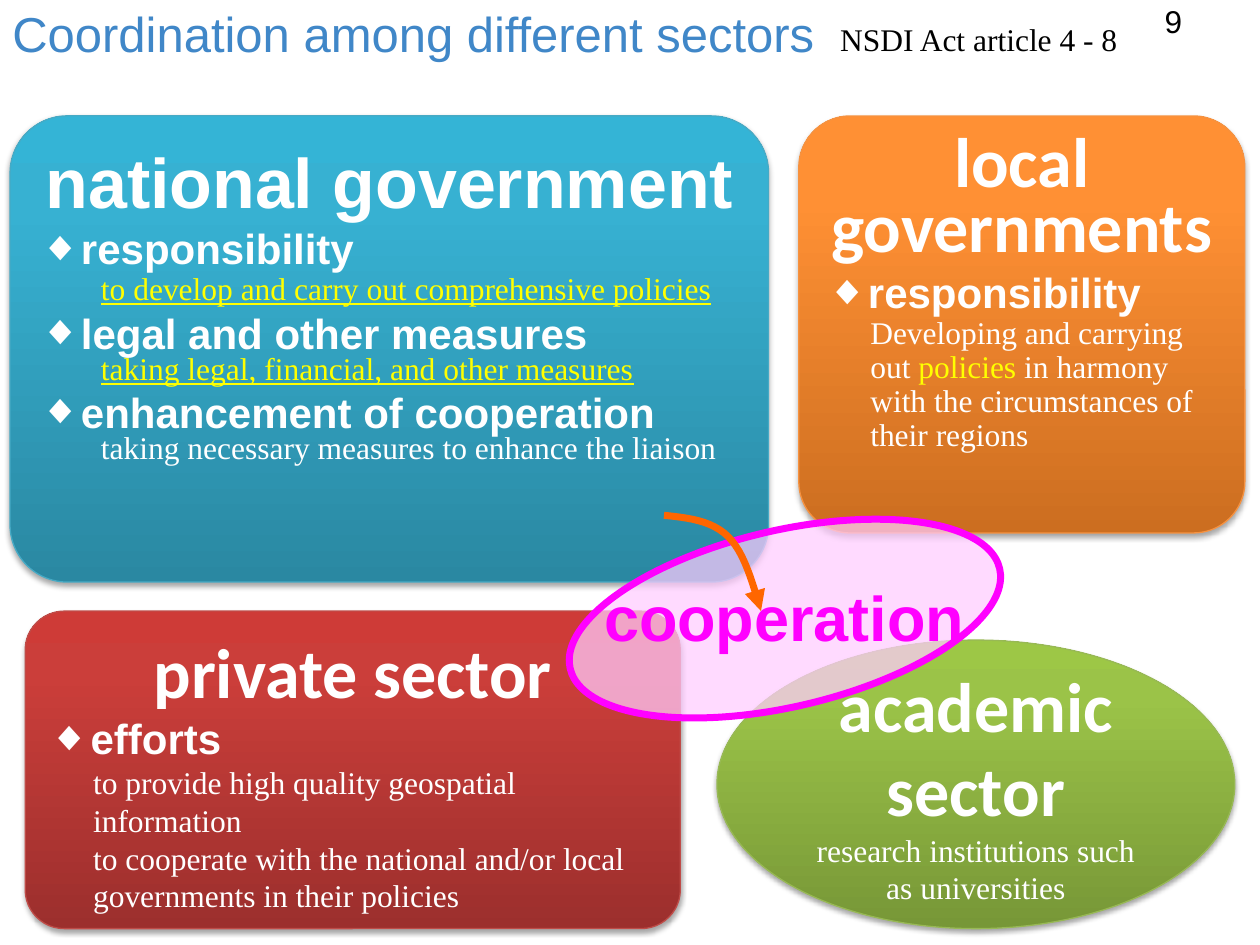
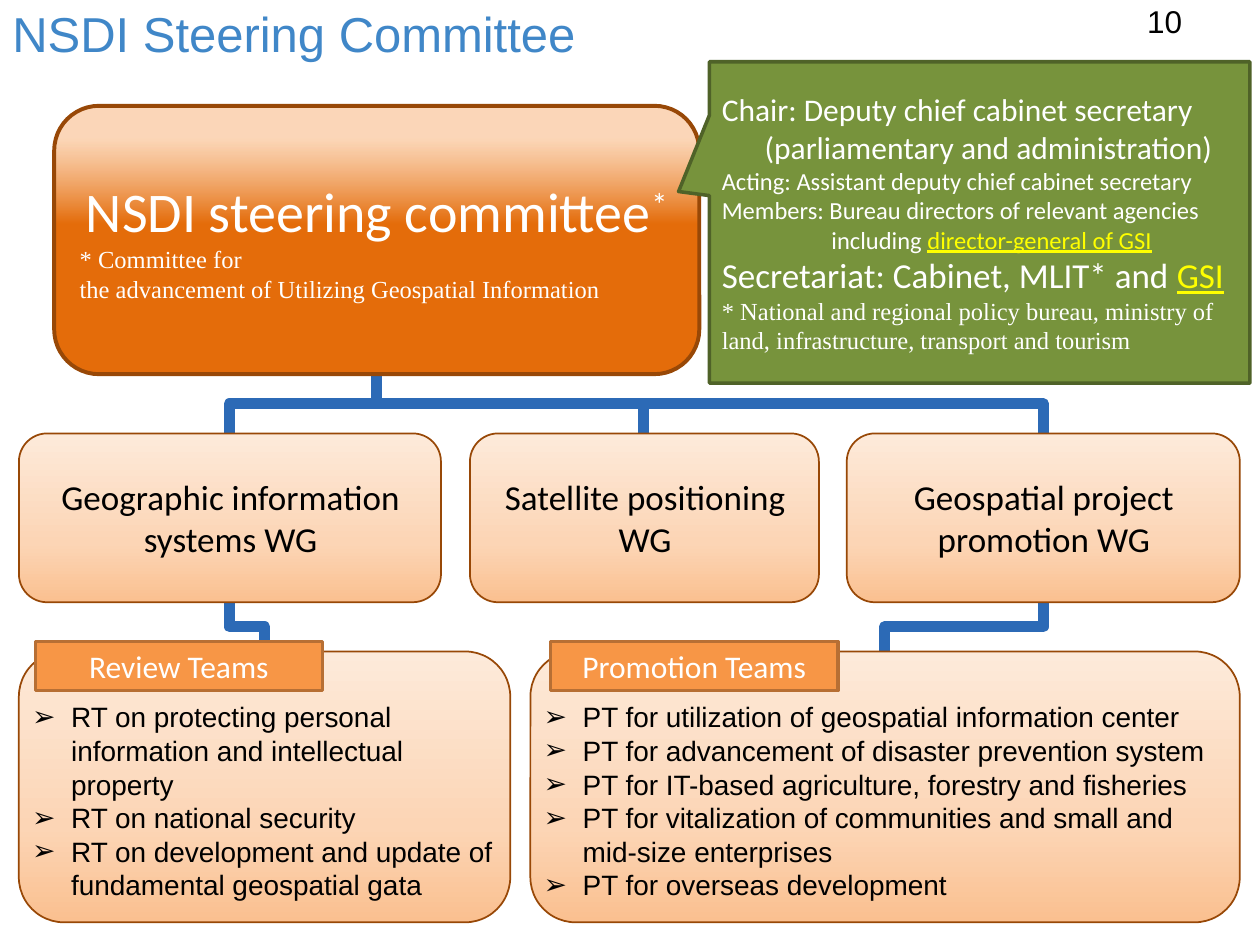
from dataclasses import dataclass, field, replace
from typing import Optional, Union

from lxml.etree import SubElement
from pptx import Presentation
from pptx.dml.color import RGBColor
from pptx.enum.shapes import MSO_CONNECTOR as Link, MSO_SHAPE as Preset
from pptx.enum.text import MSO_ANCHOR as Anchor, PP_ALIGN as Align
from pptx.oxml.ns import qn
from pptx.util import Emu, Pt

SCALE = 9144  # EMU per px, 100 px to the inch


def px(length: float) -> Emu:
    return Emu(round(length * SCALE))


# ---- Data types ----
@dataclass(frozen=True)
class Style:
    size: int
    name: str
    color: str
    bold: bool = False
    underline: bool = False
    raised: int = 0


@dataclass(frozen=True)
class Stop:
    position: int
    color: str
    alpha: int = 100


@dataclass(frozen=True)
class Area:
    left: int
    top: int
    width: int
    height: int

    @property
    def center(self) -> int:
        return self.left + self.width // 2

    @property
    def bottom(self) -> int:
        return self.top + self.height


@dataclass(frozen=True)
class Span:
    text: str
    style: Style


@dataclass(frozen=True)
class Para:
    spans: tuple
    align: Align = Align.LEFT
    margin: int = 0
    first: int = 0
    bullet: str = ""
    spacing: Optional[Union[float, Pt]] = None


@dataclass(frozen=True)
class Look:
    preset: Preset
    fill: tuple
    line: str
    weight: float
    adjust: tuple = ()
    shadow: bool = False
    rotation: float = 0


@dataclass(frozen=True)
class Words:
    paras: tuple = ()
    anchor: Anchor = Anchor.TOP
    wrap: bool = True
    insets: tuple = (10, 5, 10, 5)


# ---- Theme ----
def ramp(*stops: tuple) -> tuple:
    return tuple(Stop(*stop) for stop in stops)


def sector(preset: Preset, dark: str, middle: str, light: str, line: str) -> Look:
    adjust = (0.123,) if preset == Preset.ROUNDED_RECTANGLE else ()
    return Look(preset, ramp((0, dark), (80, middle), (100, light)), line, 0.75, adjust, True)


ROUND = Preset.ROUNDED_RECTANGLE


@dataclass(frozen=True)
class Theme:
    title: Style = Style(28, "Arial", "4087C8")
    number: Style = Style(18, "Arial", "000000")
    source: Style = Style(18, "Times New Roman", "000000")
    arial_head: Style = Style(40, "Arial", "FFFFFF", True)
    head: Style = Style(40, "Calibri", "FFFFFF", True)
    topic: Style = Style(24, "Arial", "FFFFFF", True)
    detail: Style = Style(18, "Times New Roman", "FFFFFF")
    accent: Style = Style(18, "Times New Roman", "FFFF00")
    link: Style = Style(18, "Times New Roman", "FFFF00", underline=True)
    shared: Style = Style(36, "Arial", "FF00FF", True)
    committee: Style = Style(32, "Calibri", "FFFFFF")
    group: Style = Style(20, "Calibri", "000000")
    label: Style = Style(18, "Calibri", "FFFFFF")
    small: Style = Style(14, "Calibri", "FFFFFF")
    large: Style = Style(20, "Calibri", "FFFFFF")
    note: Style = Style(14, "Times New Roman", "FFFFFF")
    team: Style = Style(16, "Arial", "000000")
    highlight: str = "FFFF00"
    arrow: str = "FF6600"
    tree: str = "2C6AB6"
    private: Look = sector(ROUND, "9C2F2D", "CB3E3A", "CE3B37", "BF4C48")
    national: Look = sector(ROUND, "2A88A2", "37B1D2", "34B4D6", "46AAC5")
    academic: Look = sector(Preset.OVAL, "779737", "9BC348", "9DC746", "98B955")
    local: Look = sector(ROUND, "CC6E20", "FF9034", "FF9136", "F69240")
    overlap: Look = Look(Preset.OVAL, ramp((0, "FFCCFF", 72)), "FF00FF", 4, rotation=-13.1)
    peach: Look = Look(ROUND, ramp((0, "FAC090"), (35, "FCD5B5"), (100, "FDEADA")),
                       "984807", 1, (0.167,))
    steering: Look = Look(ROUND, ramp((56, "E46C0A"), (88, "FAC090", 63)),
                          "984807", 2.25, (0.167,))
    callout: Look = Look(Preset.RECTANGULAR_CALLOUT, ramp((0, "77933C")),
                         "4F6228", 2, (-0.557, -0.096))
    tag: Look = Look(Preset.RECTANGLE, ramp((0, "F79646")), "B76F34", 2)


THEME = Theme()


# ---- Drawing ----
def apply(target, values: dict) -> None:
    for name, value in values.items():
        setattr(target, name, value)


def line(text: str, style: Style, **layout) -> Para:
    return Para((Span(text, style),), **layout)


def centered(text: str, style: Style, **layout) -> Para:
    return line(text, style, align=Align.CENTER, **layout)


def topic(text: str) -> Para:
    return line(text, THEME.topic, bullet="◆")


def write(box, words: Words) -> None:
    frame = box.text_frame
    sides = ("margin_left", "margin_top", "margin_right", "margin_bottom")
    apply(frame, {"word_wrap": words.wrap, "vertical_anchor": words.anchor}
          | dict(zip(sides, map(px, words.insets))))
    for index, item in enumerate(words.paras):
        para = frame.add_paragraph() if index else frame.paragraphs[0]
        props = para._p.get_or_add_pPr()
        props.set("marL", str(px(item.margin)))
        props.set("indent", str(px(item.first)))
        if item.bullet:
            SubElement(props, qn("a:buFont"), typeface="Arial")
            SubElement(props, qn("a:buChar"), char=item.bullet)
        apply(para, {"alignment": item.align, "line_spacing": item.spacing})
        for part in item.spans:
            style = part.style
            span = para.add_run()
            span.text = part.text
            apply(span.font, {"size": Pt(style.size), "name": style.name,
                              "bold": style.bold, "underline": style.underline})
            span.font.color.rgb = RGBColor.from_string(style.color)
            if style.raised:
                span.font._element.set("baseline", str(style.raised * 1000))


def add_alpha(color, percent: int) -> None:
    if percent < 100:
        SubElement(color, qn("a:alpha"), val=str(percent * 1000))


def paint(box, stops: tuple) -> None:
    properties = box._element.spPr
    if len(stops) == 1:
        box.fill.solid()
        box.fill.fore_color.rgb = RGBColor.from_string(stops[0].color)
        add_alpha(properties.find(qn("a:solidFill"))[0], stops[0].alpha)
        return
    box.fill.gradient()
    box.fill.gradient_angle = 90
    stop_list = properties.find(qn("a:gradFill")).find(qn("a:gsLst"))
    for old in list(stop_list):
        stop_list.remove(old)
    for stop in stops:
        entry = SubElement(stop_list, qn("a:gs"), pos=str(stop.position * 1000))
        add_alpha(SubElement(entry, qn("a:srgbClr"), val=stop.color), stop.alpha)


def stroke(shape, color: str, weight: float) -> None:
    shape.line.color.rgb = RGBColor.from_string(color)
    shape.line.width = Pt(weight)


def bounds(area: Area) -> tuple:
    return tuple(map(px, (area.left, area.top, area.width, area.height)))


def add_box(page, area: Area, look: Look, words: Words = Words()) -> None:
    box = page.shapes.add_shape(look.preset, *bounds(area))
    for index, value in enumerate(look.adjust):
        box.adjustments[index] = value
    box.rotation = look.rotation
    paint(box, look.fill)
    stroke(box, look.line, look.weight)
    box.shadow.inherit = False
    if look.shadow:
        effects = box._element.spPr.find(qn("a:effectLst"))
        shade = SubElement(effects, qn("a:outerShdw"), blurRad=str(Pt(3.1)),
                           dist=str(Pt(1.8)), dir="5400000", rotWithShape="0")
        add_alpha(SubElement(shade, qn("a:srgbClr"), val="000000"), 35)
    write(box, words)


def add_text(page, area: Area, words: Words) -> None:
    write(page.shapes.add_textbox(*bounds(area)), words)


def add_elbow(page, start: tuple, end: tuple) -> None:
    """Goes down, across and down again: a turned elbow."""
    run, drop = end[0] - start[0], end[1] - start[1]
    middle_x, middle_y = (start[0] + end[0]) / 2, (start[1] + end[1]) / 2
    left, right = middle_x - drop / 2, middle_x + drop / 2
    top, bottom = middle_y - abs(run) / 2, middle_y + abs(run) / 2
    if run > 0:
        left, right = right, left
    elbow = page.shapes.add_connector(Link.ELBOW, px(left), px(top), px(right), px(bottom))
    stroke(elbow, THEME.tree, 6.25)
    properties = elbow._element.spPr
    properties.find(qn("a:xfrm")).set("rot", str((270 if run > 0 else 90) * 60000))
    SubElement(properties, qn("a:effectLst"))


def bezier(points: tuple, steps: int = 12) -> list:
    def at(t: float) -> tuple:
        weights = ((1 - t) ** 3, 3 * t * (1 - t) ** 2, 3 * t * t * (1 - t), t ** 3)
        return tuple(px(sum(w * p[axis] for w, p in zip(weights, points))) for axis in (0, 1))
    return [at(step / steps) for step in range(1, steps + 1)]


def add_curved_arrow(page, start: tuple, curves: tuple) -> None:
    builder = page.shapes.build_freeform(*map(px, start), scale=1.0)
    for curve in curves:
        builder.add_line_segments(bezier((start, *curve)), close=False)
        start = curve[-1]
    arrow = builder.convert_to_shape()
    arrow.fill.background()
    stroke(arrow, THEME.arrow, 4)
    arrow.shadow.inherit = False
    SubElement(arrow.line._get_or_add_ln(), qn("a:tailEnd"), type="triangle")


def add_page(deck, title: str, number: int):
    page = deck.slides.add_slide(deck.slide_layouts[6])
    add_text(page, Area(0, 0, 768, 52), Words((line(title, THEME.title),), Anchor.MIDDLE))
    add_text(page, Area(715, -3, 233, 52),
             Words((line(str(number), THEME.number, align=Align.RIGHT),)))
    return page


# ---- Slides ----
def build_sectors(deck) -> None:
    page = add_page(deck, "Coordination among different sectors", 9)
    t = THEME
    add_box(page, Area(20, 485, 520, 252), t.private, Words((
        centered("private sector", t.head),
        topic("efforts"),
        line("to provide high quality geospatial information", t.detail, margin=35),
        line("to cooperate with the national and/or local governments in their policies",
             t.detail, margin=35))))
    add_box(page, Area(8, 92, 602, 370), t.national, Words((
        centered("national government", t.arial_head),
        topic("responsibility"),
        line("to develop and carry out comprehensive policies", t.link, margin=49, spacing=0.9),
        topic("legal and other measures"),
        line("taking legal, financial, and other measures", t.link, first=49, spacing=0.75),
        topic("enhancement of cooperation"),
        line("taking necessary measures to enhance the liaison", t.detail,
             margin=49, spacing=0.75))))
    add_box(page, Area(569, 508, 411, 229), t.academic, Words((
        centered("academic", t.head), centered("sector", t.head),
        centered("research institutions such", t.detail),
        centered("as universities", t.detail)), Anchor.MIDDLE, wrap=False))
    add_box(page, Area(634, 92, 354, 331), t.local, Words((
        centered("local governments", t.head, spacing=Pt(37)),
        topic("responsibility"),
        Para((Span("Developing and carrying out ", t.detail), Span("policies", t.accent),
              Span(" in harmony with the circumstances of their regions", t.detail)),
             margin=35, spacing=0.9))))
    # Cooperation, where the sectors meet
    add_box(page, Area(448, 421, 350, 140), t.overlap)
    add_curved_arrow(page, (527, 409), (((546, 411), (565, 413), (578, 426)),
                                        ((591, 439), (597, 462), (604, 485))))
    add_text(page, Area(461, 454, 323, 71), Words((centered("cooperation", t.shared),)))
    add_text(page, Area(657, 11, 242, 40),
             Words((line("NSDI Act article 4 - 8", t.source),), wrap=False))


def build_committee(deck) -> None:
    page = add_page(deck, "NSDI Steering Committee", 10)
    t = THEME
    committee = Area(43, 84, 512, 213)
    groups = {"Geographic information systems WG": Area(15, 344, 335, 134),
              "Satellite positioning WG": Area(373, 344, 277, 134),
              "Geospatial project promotion WG": Area(672, 344, 312, 134)}
    reviews, promotions = Area(15, 517, 390, 215), Area(421, 517, 563, 215)
    teams = (
        ("Review Teams", reviews, 28, (
            "RT on protecting personal information and intellectual property",
            "RT on national security",
            "RT on development and update of fundamental geospatial gata")),
        ("Promotion Teams", promotions, 437, (
            "PT for utilization of geospatial information center",
            "PT for advancement of disaster prevention system",
            "PT for IT-based agriculture, forestry and fisheries",
            "PT for vitalization of communities and small and mid-size enterprises",
            "PT for overseas development")))

    # Tree lines
    first, *_, last = groups.values()
    links = [(committee, group) for group in groups.values()]
    for upper, lower in links + [(first, reviews), (last, promotions)]:
        add_elbow(page, (upper.center, upper.bottom), (lower.center, lower.top))

    # Committee and its members
    add_box(page, committee, t.steering, Words((
        Para((Span("NSDI steering committee", t.committee),
              Span("*", replace(t.committee, raised=30))), Align.CENTER),
        line("* Committee for", t.note),
        line("the advancement of Utilizing Geospatial Information", t.note)), Anchor.MIDDLE))
    marked = {"color": t.highlight, "underline": True}
    add_box(page, Area(563, 49, 429, 255), t.callout, Words((
        line("Chair: Deputy chief cabinet secretary", t.label),
        line("(parliamentary and administration)", t.label, margin=34),
        line("Acting: Assistant deputy chief cabinet secretary", t.small),
        line("Members: Bureau directors of relevant agencies", t.small),
        Para((Span("including ", t.small),
              Span("director-general of GSI", replace(t.small, **marked))), margin=87),
        Para((Span("Secretariat: Cabinet, MLIT* and ", t.large),
              Span("GSI", replace(t.large, **marked)))),
        line("* National and regional policy bureau, ministry of land, infrastructure, "
             "transport and tourism", t.note)), Anchor.MIDDLE))

    # Working groups and teams
    for name, area in groups.items():
        add_box(page, area, t.peach,
                Words((centered(name, t.group),), Anchor.MIDDLE, insets=(1, 2, 0, 2)))
    for name, area, tag_left, items in teams:
        entries = tuple(line(item, t.team, margin=31, first=-31, bullet="➢") for item in items)
        add_box(page, area, t.peach, Words(entries, insets=(0, 28, 0, 2)))
        add_box(page, Area(tag_left, 509, 228, 39), t.tag,
                Words((centered(name, t.label),), Anchor.MIDDLE))


def main() -> None:
    deck = Presentation()
    apply(deck, {"slide_width": px(1000), "slide_height": px(750)})
    build_sectors(deck)
    build_committee(deck)
    deck.save("out.pptx")


if __name__ == "__main__":
    main()
